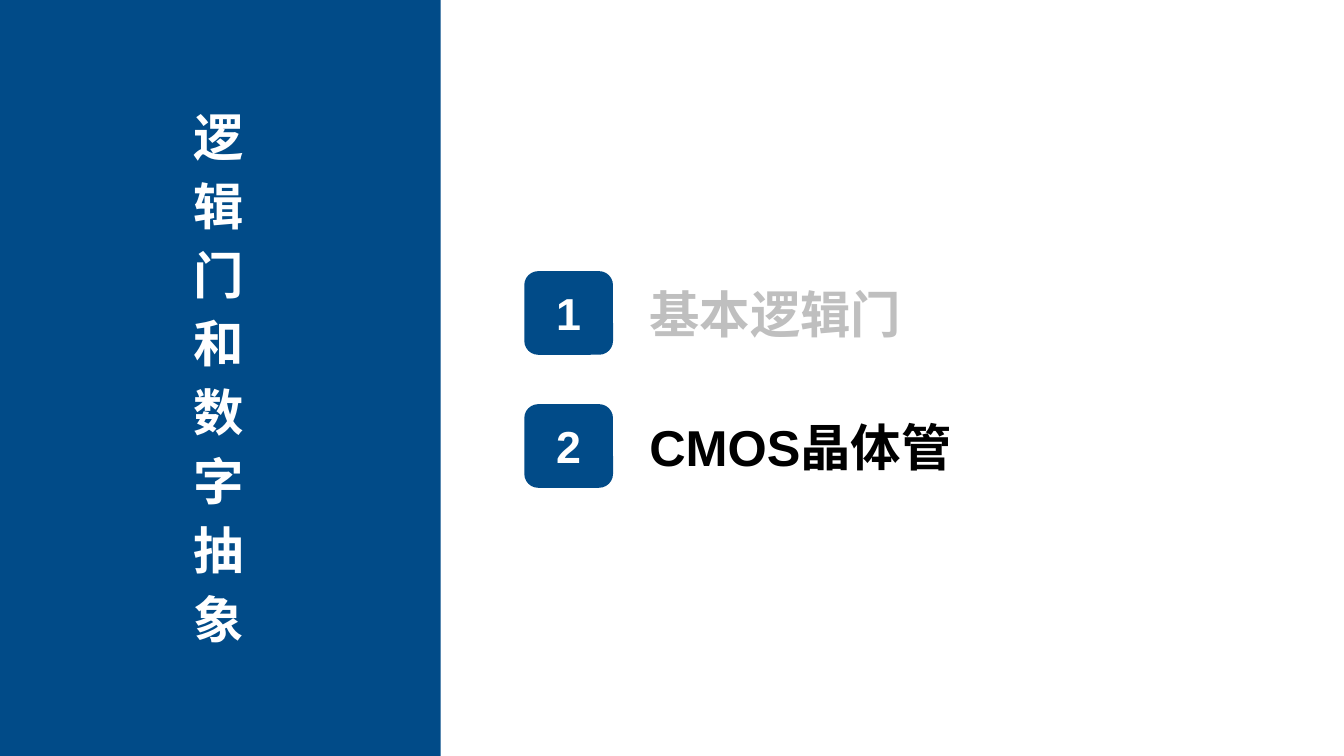
from pptx import Presentation
from pptx.dml.color import RGBColor
from pptx.enum.shapes import MSO_SHAPE
from pptx.enum.text import MSO_ANCHOR, MSO_AUTO_SIZE, PP_ALIGN
from pptx.util import Inches, Pt

RECT, ROUNDED = MSO_SHAPE.RECTANGLE, MSO_SHAPE.ROUNDED_RECTANGLE
TOP, MIDDLE = MSO_ANCHOR.TOP, MSO_ANCHOR.MIDDLE
LEFT, CENTER = PP_ALIGN.LEFT, PP_ALIGN.CENTER
NO_AUTOFIT = MSO_AUTO_SIZE.NONE

COLORS = {"blue": "014B88", "white": "FFFFFF", "muted": "BFBFBF", "black": "000000"}
TITLE = "逻辑门和数字抽象"
SECTIONS = [("基本逻辑门", "muted", 5.56), ("CMOS晶体管", "black", 4.72)]

BADGE_LEFT, BADGE_TOP, BADGE_PITCH = 5.2, 2.69, 1.32
BADGE_WIDTH, BADGE_HEIGHT = 0.88, 0.83
LABEL_LEFT, LABEL_HEIGHT = 6.44, 0.61


def rgb(name):
    return RGBColor.from_string(COLORS[name])


def write(shape, lines, size, color, align, anchor, space_after=0):
    frame = shape.text_frame
    settings = {"word_wrap": True, "auto_size": NO_AUTOFIT, "vertical_anchor": anchor,
                "margin_left": 0, "margin_right": 0, "margin_top": 0, "margin_bottom": 0}
    for name, value in settings.items():
        setattr(frame, name, value)
    frame.text = "\n".join(lines)
    for paragraph in frame.paragraphs:
        paragraph.alignment = align
        paragraph.space_after = Pt(space_after)
        for run in paragraph.runs:
            for name, value in {"name": "Arial", "size": Pt(size), "bold": True}.items():
                setattr(run.font, name, value)
            run.font.color.rgb = rgb(color)


def add_blue_shape(slide, kind, left, top, width, height):
    shape = slide.shapes.add_shape(
        kind, Inches(left), Inches(top), Inches(width), Inches(height))
    shape.shadow.inherit = False
    shape.fill.solid()
    shape.fill.fore_color.rgb = rgb("blue")
    shape.line.fill.background()
    return shape


def main():
    deck = Presentation()
    deck.slide_width, deck.slide_height = Inches(13.33), Inches(7.5)
    slide = deck.slides.add_slide(deck.slide_layouts[5])

    title = slide.shapes.title
    title.left, title.top = Inches(1.13), Inches(1.05)
    title.width, title.height = Inches(2.08), Inches(5.44)
    write(title, TITLE, 36, "white", CENTER, TOP, space_after=6)

    panel = add_blue_shape(slide, RECT, 0, 0, 4.37, 7.5)
    title.element.addprevious(panel.element)  # panel goes behind the title

    for index, (text, color, label_width) in enumerate(SECTIONS):
        top = BADGE_TOP + index * BADGE_PITCH
        badge = add_blue_shape(slide, ROUNDED, BADGE_LEFT, top, BADGE_WIDTH, BADGE_HEIGHT)
        write(badge, [str(index + 1)], 32, "white", CENTER, MIDDLE)

        label_top = top + (BADGE_HEIGHT - LABEL_HEIGHT) / 2
        label = slide.shapes.add_textbox(
            Inches(LABEL_LEFT), Inches(label_top), Inches(label_width), Inches(LABEL_HEIGHT))
        write(label, [text], 36, color, LEFT, MIDDLE)

    deck.save("out.pptx")


if __name__ == "__main__":
    main()
